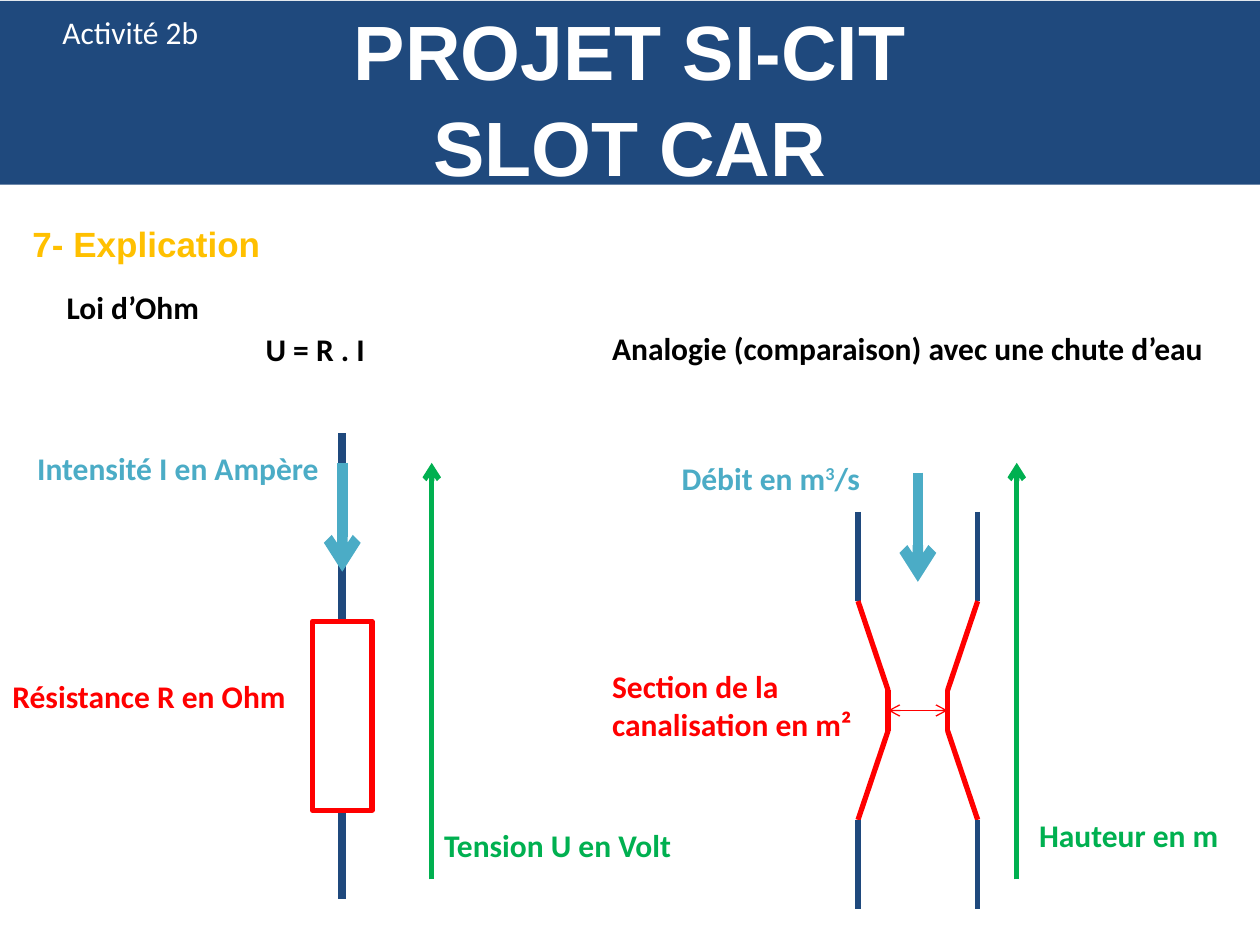
from itertools import pairwise

from lxml.etree import SubElement
from pptx import Presentation
from pptx.dml.color import RGBColor
from pptx.enum.shapes import MSO_CONNECTOR, MSO_SHAPE
from pptx.enum.text import MSO_ANCHOR, MSO_AUTO_SIZE, PP_ALIGN
from pptx.oxml.ns import qn
from pptx.util import Pt

NAVY = RGBColor(0x1F, 0x49, 0x7D)
AQUA = RGBColor(0x4B, 0xAC, 0xC6)
GREEN = RGBColor(0x00, 0xB0, 0x50)
RED = RGBColor(0xFF, 0x00, 0x00)
GOLD = RGBColor(0xFF, 0xC0, 0x00)
WHITE = RGBColor(0xFF, 0xFF, 0xFF)
BLACK = RGBColor(0x00, 0x00, 0x00)


class SlideBuilder:
    """Holds the text style and the current slide, and draws its elements."""

    def __init__(self, slide, font="Calibri", size=18):
        self.slide = slide
        self.font = font
        self.size = size

    def format(self, p, color, bold=True, font=None, size=None):
        for r in p.runs:
            r.font.name = font or self.font
            r.font.size = Pt(size or self.size)
            r.font.bold = bold
            r.font.color.rgb = color

    def title(self, lines, x, y, w, h):
        sp = self.slide.shapes.title
        sp.left, sp.top, sp.width, sp.height = Pt(x), Pt(y), Pt(w), Pt(h)
        sp.fill.solid()
        sp.fill.fore_color.rgb = NAVY
        tf = sp.text_frame
        tf.text = "\n".join(lines)
        tf.auto_size = MSO_AUTO_SIZE.NONE
        tf.vertical_anchor = MSO_ANCHOR.MIDDLE
        tf.margin_top, tf.margin_bottom = Pt(8), Pt(2)
        for p in tf.paragraphs:
            p.alignment = PP_ALIGN.CENTER
            self.format(p, WHITE, font="Arial", size=44)
        tf.paragraphs[-1].space_before = Pt(2)

    def text(self, parts, x, y, w, h=29, color=BLACK, align=PP_ALIGN.LEFT, **style):
        tf = self.slide.shapes.add_textbox(Pt(x), Pt(y), Pt(w), Pt(h)).text_frame
        tf.word_wrap = True
        tf.auto_size = MSO_AUTO_SIZE.SHAPE_TO_FIT_TEXT
        p = tf.paragraphs[0]
        p.alignment = align
        for part in parts:
            p.add_run().text = part
        self.format(p, color, **style)
        return p

    def line(self, start, end, color, width=3, ends=()):
        points = [Pt(v) for v in (*start, *end)]
        s = self.slide.shapes.add_connector(MSO_CONNECTOR.STRAIGHT, *points)
        s.line.color.rgb = color
        s.line.width = Pt(width)
        ln = s.line._get_or_add_ln()
        for end_name in ends:
            SubElement(ln, qn(f"a:{end_name}"), type="arrow")
        SubElement(s._element.spPr, qn("a:effectLst"))

    def box(self, x, y, w, h, color):
        sp = self.slide.shapes.add_shape(MSO_SHAPE.RECTANGLE, Pt(x), Pt(y), Pt(w), Pt(h))
        sp.shadow.inherit = False
        sp.fill.solid()
        sp.fill.fore_color.rgb = WHITE
        sp.line.color.rgb = color
        sp.line.width = Pt(3)


def draw_circuit(b):
    b.text(["Loi d’Ohm"], 31, 161.3, 221)
    b.text(["U = R . I"], 144.7, 185, 108)
    b.text(["Intensité I en Ampère"], 14.2, 253, 221, color=AQUA)
    b.line((195.6, 247.5), (195.6, 513.8), NAVY, 4.5)
    b.line((195.6, 264.5), (195.6, 326.7), AQUA, 6, ["tailEnd"])
    b.box(178.6, 355, 34, 108, RED)
    b.text(["Résistance R en Ohm"], 0, 383.2, 178.6, color=RED)
    b.line((246.7, 502.5), (246.7, 264.5), GREEN, ends=["tailEnd"])
    b.text(["Tension U en Volt"], 246.7, 468.5, 164, color=GREEN)


def draw_waterfall(b):
    b.text(["Analogie (comparaison) avec une chute d’eau"], 342.7, 184.5, 354.5)
    p = b.text(["Débit en m", "3", "/s"], 382.4, 258.7, 221, color=AQUA)
    p.runs[1].font._element.set("baseline", "30000")
    center, narrow, wide = 524.5, 17, 34.2
    b.line((center, 270), (center, 332.5), AQUA, 6, ["tailEnd"])
    offsets = (wide, wide, narrow, narrow, wide, wide)
    levels = (292.5, 343.5, 394.5, 417.5, 468.5, 519.5)
    colors = (NAVY, RED, RED, RED, NAVY)
    for side in (-1, 1):
        outline = [(center + side * dx, y) for dx, y in zip(offsets, levels)]
        for (start, end), color in zip(pairwise(outline), colors):
            b.line(start, end, color)
    b.line((center + narrow, 406), (center - narrow, 406), RED, 0.75,
           ["headEnd", "tailEnd"])
    b.text(["Section de la canalisation en m²"], 342.7, 377.7, 158.5, 51, color=RED)
    b.line((581, 502.5), (581, 264.5), GREEN, ends=["tailEnd"])
    b.text(["Hauteur en m"], 586.7, 462.8, 133, color=GREEN)


def main():
    prs = Presentation()
    prs.slide_width, prs.slide_height = Pt(720), Pt(540)
    b = SlideBuilder(prs.slides.add_slide(prs.slide_layouts[5]))
    b.title(["PROJET SI-CIT", "SLOT CAR"], 0, 0.5, 720, 105)
    b.text(["Activité 2b"], 0, 3.8, 149, color=WHITE, align=PP_ALIGN.CENTER, bold=False)
    b.text(["7- Explication"], 11.5, 123.5, 332, 31.5, color=GOLD, font="Arial", size=20)
    draw_circuit(b)
    draw_waterfall(b)
    prs.save("out.pptx")


if __name__ == "__main__":
    main()
